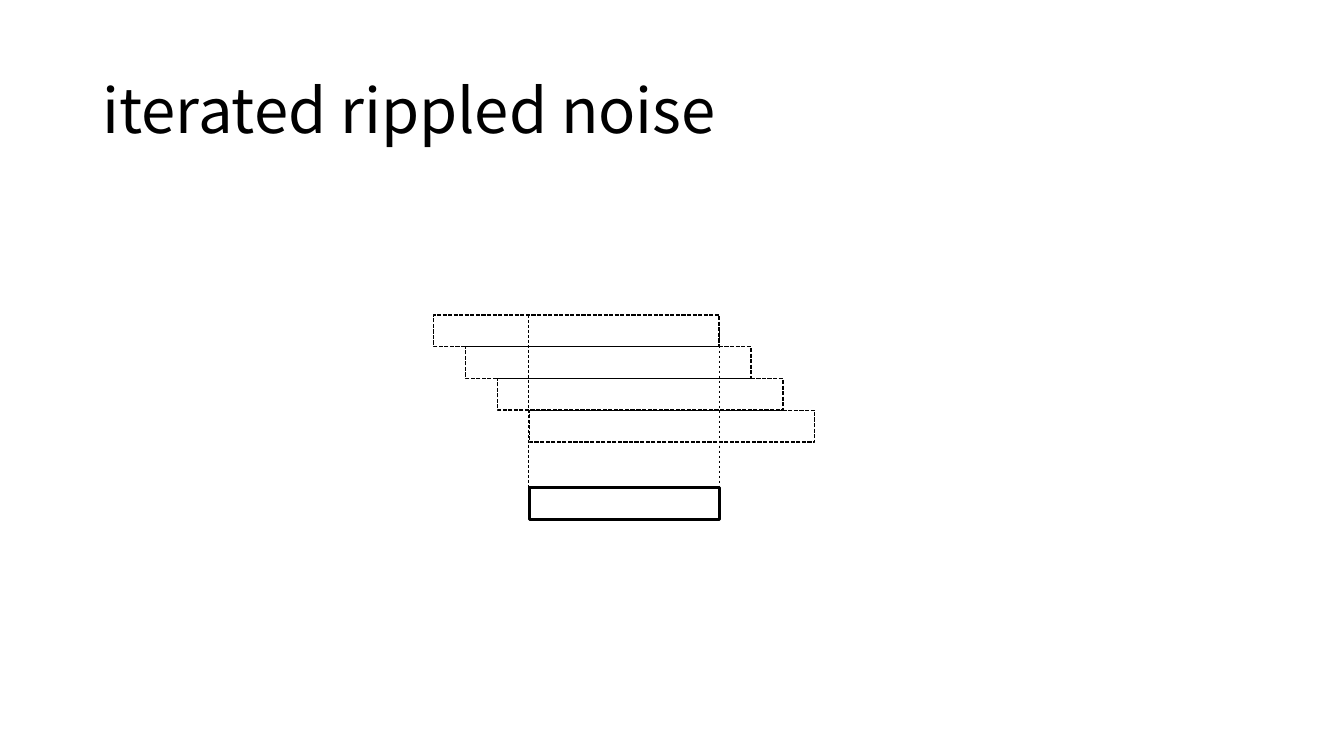
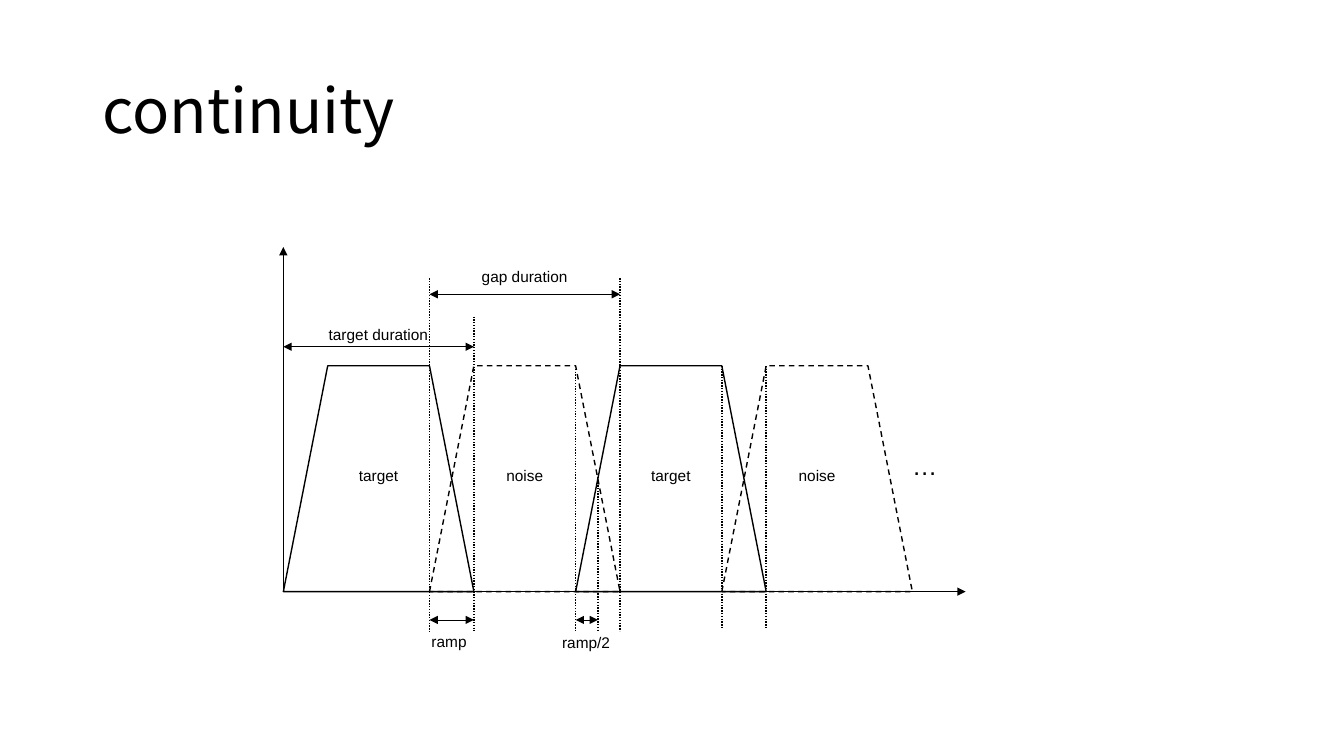
from lxml import etree
from pptx import Presentation
from pptx.dml.color import RGBColor
from pptx.enum.dml import MSO_LINE
from pptx.enum.shapes import MSO_CONNECTOR, MSO_SHAPE
from pptx.enum.text import MSO_ANCHOR, MSO_AUTO_SIZE, PP_ALIGN
from pptx.oxml.ns import qn
from pptx.util import Pt

BLACK = RGBColor(0, 0, 0)
WHITE = RGBColor(255, 255, 255)
TITLE_FONT = "Noto Sans CJK JP"
LABEL_FONT = "Arial"
RECTANGLE, TRAPEZOID = MSO_SHAPE.RECTANGLE, MSO_SHAPE.TRAPEZOID
STRAIGHT = MSO_CONNECTOR.STRAIGHT
# python-pptx's ROUND_DOT is sysDot, SQUARE_DOT is sysDash
DASH, SHORT_DASH, DOT = MSO_LINE.DASH, MSO_LINE.SQUARE_DOT, MSO_LINE.ROUND_DOT
MIDDLE, LEFT, CENTER = MSO_ANCHOR.MIDDLE, PP_ALIGN.LEFT, PP_ALIGN.CENTER
NO_FIT = MSO_AUTO_SIZE.NONE
TITLE_ONLY = 5

# Content and measures, in points
SLIDE_SIZE = (960, 540)
TITLE_AREA = (66, 28.75, 828, 104.4)
NOISE_TITLE = "iterated rippled noise"
CONTINUITY_TITLE = "continuity"

COPIES = 4
COPY_LEFT, COPY_TOP, COPY_WIDTH, BAR_HEIGHT = 309.6, 224.9, 204, 22.5
DELAY = 22.8
SUM_TOP, SUM_WIDTH = 348.5, 136.2

SOUNDS = ["target", "noise", "target", "noise"]
START, BASE, LEVEL = 202.4, 422.6, 161.3
DURATION, RAMP = 136.1, 31.7
PITCH = DURATION - RAMP
TOP = BASE - LEVEL
AXIS_TOP, AXIS_RIGHT = 176.4, 689.8
ONSETS = [START + index * PITCH for index in range(len(SOUNDS))]
OFFSETS = [onset + DURATION for onset in ONSETS]
CROSSING = ONSETS[2] + RAMP / 2

GUIDES = [  # x, top, bottom
    (ONSETS[1], 198.7, 451.4),
    (OFFSETS[0], 226.1, 450.7),
    (ONSETS[2], 263.5, 451.4),
    (OFFSETS[1], 198.7, 450.7),
    (ONSETS[3], TOP, 449.3),
    (OFFSETS[2], TOP, 449.3),
    (CROSSING, 340.6, 450.7),
]
SPANS = [  # left, right, y, text, text centre
    (ONSETS[1], OFFSETS[0], 442.8, "ramp", (320.8, 458.3)),
    (ONSETS[2], CROSSING, 442.8, "ramp/2", (418.7, 459)),
    (START, OFFSETS[0], 247.7, "target duration", (270.4, 238.7)),
    (ONSETS[1], OFFSETS[1], 210.2, "gap duration", (374.8, 197.6)),
]
SOUND_LABEL_Y = 339.5
MORE, MORE_CENTRE = "…", (660.6, 332.3)
LABEL_SIZE = (45.4, 25.2)


def write(frame, text, *, font, size, align, spacing=None):
    """Put one formatted paragraph into a text frame."""
    frame.auto_size = NO_FIT
    frame.vertical_anchor = MIDDLE
    para = frame.paragraphs[0]
    para.alignment = align
    para.line_spacing = spacing
    span = para.add_run()
    span.text = text
    span.font.name = font
    span.font.size = Pt(size)
    span.font.color.rgb = BLACK


def style_line(line, width, dash=None):
    """Make a line black with the given width and dash."""
    line.color.rgb = BLACK
    line.width = Pt(width)
    if dash is not None:
        line.dash_style = dash


def add_page(deck, title):
    """Add a white slide with the shared title style."""
    page = deck.slides.add_slide(deck.slide_layouts[TITLE_ONLY])
    page.background.fill.solid()
    page.background.fill.fore_color.rgb = WHITE
    box = page.shapes.title
    box.left, box.top, box.width, box.height = map(Pt, TITLE_AREA)
    write(box.text_frame, title, font=TITLE_FONT, size=44, align=LEFT, spacing=0.9)
    box.text_frame.word_wrap = True
    return page


def add_outline(page, kind, area, width=1, dash=None):
    """Add an unfilled preset shape."""
    shape = page.shapes.add_shape(kind, *map(Pt, area))
    shape.shadow.inherit = False
    shape.fill.background()
    style_line(shape.line, width, dash)
    return shape


def add_line(page, start, end, width=0.5, dash=None, arrows=()):
    """Add a straight line; arrows names its ends, headEnd before tailEnd."""
    connector = page.shapes.add_connector(STRAIGHT, *map(Pt, start + end))
    style_line(connector.line, width, dash)
    properties = connector._element.spPr
    for name in arrows:
        etree.SubElement(properties.find(qn("a:ln")), qn("a:" + name), type="triangle")
    etree.SubElement(properties, qn("a:effectLst"))


def add_label(page, text, centre, size=11):
    """Add an unwrapped label around a centre point."""
    width, height = LABEL_SIZE
    x, y = centre
    box = page.shapes.add_textbox(
        Pt(x - width / 2), Pt(y - height / 2), Pt(width), Pt(height))
    frame = box.text_frame
    frame.word_wrap = False
    frame.margin_left = frame.margin_right = 0
    write(frame, text, font=LABEL_FONT, size=size, align=CENTER)


def build_noise(deck):
    """Draw the delayed copies and the part where they all overlap."""
    page = add_page(deck, NOISE_TITLE)
    for index in range(COPIES):
        shift = index * DELAY
        area = (COPY_LEFT + shift, COPY_TOP + shift, COPY_WIDTH, BAR_HEIGHT)
        add_outline(page, RECTANGLE, area, dash=SHORT_DASH)
    left = COPY_LEFT + (COPIES - 1) * DELAY
    right = left + SUM_WIDTH
    for x, top in ((left - 0.4, COPY_TOP), (right, COPY_TOP + BAR_HEIGHT / 2)):
        add_line(page, (x, top), (x, SUM_TOP + BAR_HEIGHT), dash=DASH)
    add_outline(page, RECTANGLE, (left, SUM_TOP, SUM_WIDTH, BAR_HEIGHT), width=2.25)


def build_continuity(deck):
    """Draw the alternating targets and noises with their timings."""
    page = add_page(deck, CONTINUITY_TITLE)
    for end in ((START, AXIS_TOP), (AXIS_RIGHT, BASE)):
        add_line(page, (START, BASE), end, arrows=["tailEnd"])
    for sound, onset in zip(SOUNDS, ONSETS):
        dash = DASH if sound == "noise" else None
        shape = add_outline(page, TRAPEZOID, (onset, TOP, DURATION, LEVEL), dash=dash)
        shape.adjustments[0] = RAMP / DURATION
        add_label(page, sound, (onset + DURATION / 2, SOUND_LABEL_Y))
    for x, top, bottom in GUIDES:
        add_line(page, (x, top), (x, bottom), width=1, dash=DOT)
    for left, right, y, text, centre in SPANS:
        add_line(page, (left, y), (right, y), arrows=["headEnd", "tailEnd"])
        add_label(page, text, centre)
    add_label(page, MORE, MORE_CENTRE, size=18)


deck = Presentation()
deck.slide_width, deck.slide_height = map(Pt, SLIDE_SIZE)
build_noise(deck)
build_continuity(deck)
deck.save("out.pptx")
